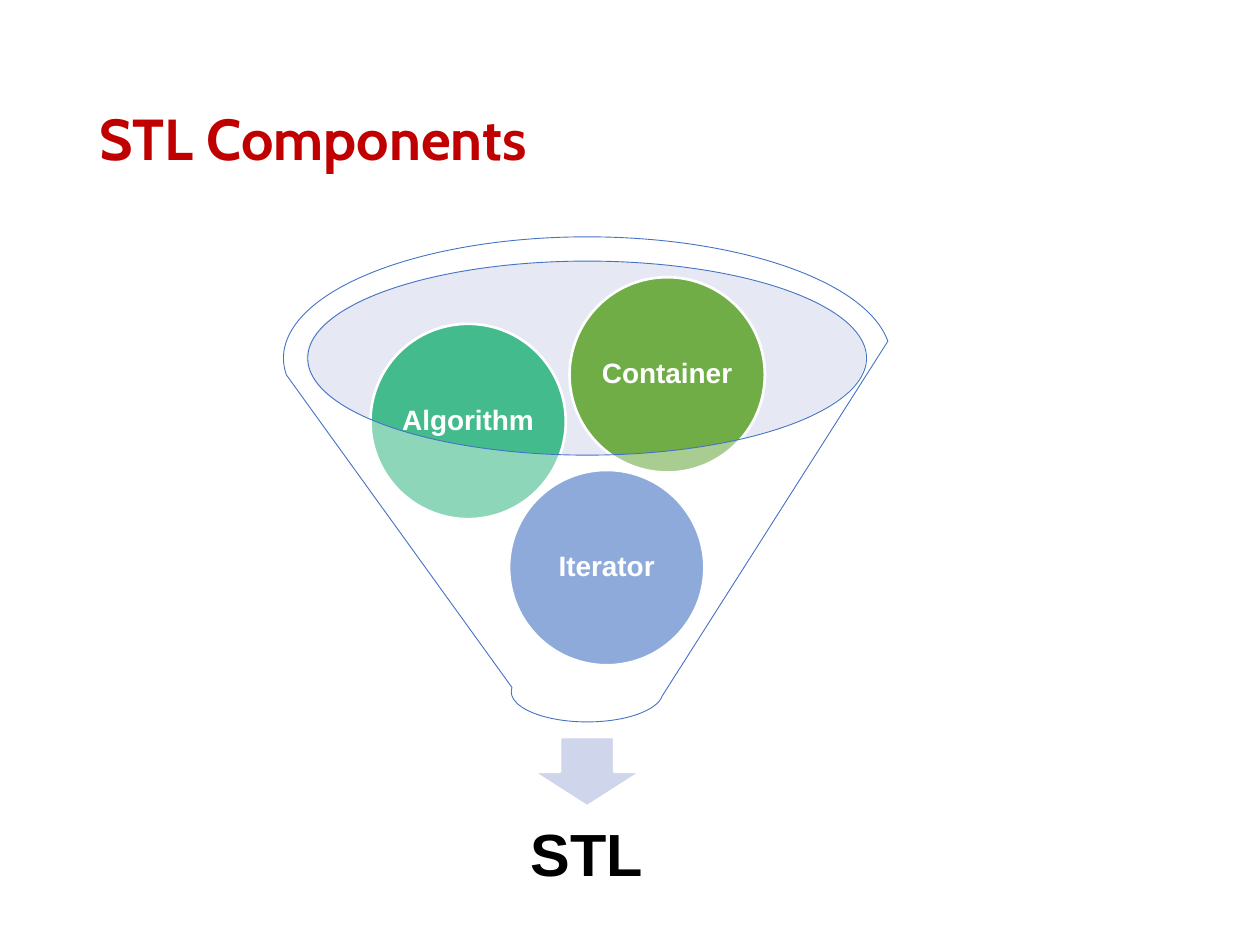
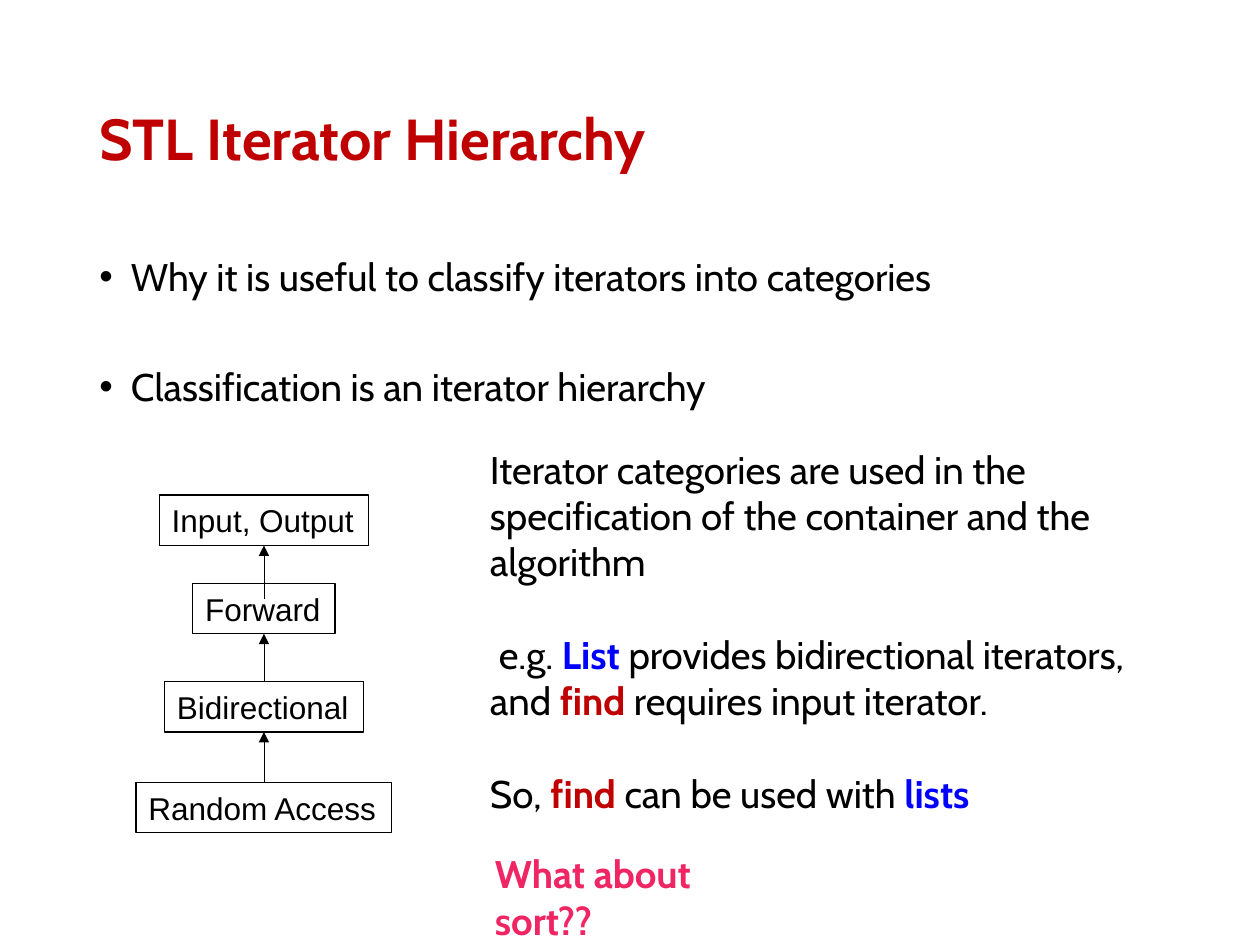
from lxml.etree import SubElement
from pptx import Presentation
from pptx.dml.color import RGBColor
from pptx.enum.shapes import MSO_CONNECTOR, MSO_SHAPE
from pptx.enum.text import MSO_ANCHOR, PP_ALIGN
from pptx.oxml.ns import qn
from pptx.util import Inches, Pt

COLORS = {
    "title": "C00000", "text": "000000", "white": "FFFFFF",
    "iterator": "4472C4", "algorithm": "43BB8D", "container": "70AD47",
    "mouth": "C1C9E4", "arrow": "CFD5EA",
    "type": "0000FF", "function": "C00000", "question": "EF2564",
}
HEADING_FONT = "Cabin"
DIAGRAM_FONT = "Arial"
TITLE_BOX = (0.69, 0.4, 8.62, 1.45)


def rgb(name):
    return RGBColor.from_string(COLORS[name])


def format_font(font, size, name=HEADING_FONT, color="text", bold=False):
    font.size = Pt(size)
    font.name = name
    font.bold = bold
    font.color.rgb = rgb(color)


def add_text_box(slide, box, anchor=MSO_ANCHOR.TOP):
    text_frame = slide.shapes.add_textbox(*map(Inches, box)).text_frame
    text_frame.word_wrap = True
    text_frame.vertical_anchor = anchor
    return text_frame


def add_preset(slide, kind, box, fill=None, line=None, width=0.75, alpha=None):
    shape = slide.shapes.add_shape(kind, *map(Inches, box))
    shape.shadow.inherit = False
    if fill:
        shape.fill.solid()
        shape.fill.fore_color.rgb = rgb(fill)
        if alpha:
            color = shape.fill._xPr.find(f".//{qn('a:srgbClr')}")
            SubElement(color, qn("a:alpha"), val=str(alpha * 1000))
    else:
        shape.fill.background()
    if line:
        shape.line.color.rgb = rgb(line)
        shape.line.width = Pt(width)
    else:
        shape.line.fill.background()
    return shape


def add_title(slide, title):
    text_frame = add_text_box(slide, TITLE_BOX, MSO_ANCHOR.MIDDLE)
    text_frame.text = title
    paragraph = text_frame.paragraphs[0]
    paragraph.line_spacing = 0.9
    format_font(paragraph.runs[0].font, 33, color="title", bold=True)


def set_centered_label(text_frame, label, size, color):
    text_frame.margin_left = text_frame.margin_right = Inches(0.02)
    text_frame.margin_top = text_frame.margin_bottom = Inches(0.02)
    text_frame.word_wrap = True
    text_frame.vertical_anchor = MSO_ANCHOR.MIDDLE
    text_frame.text = label
    paragraph = text_frame.paragraphs[0]
    paragraph.alignment = PP_ALIGN.CENTER
    paragraph.line_spacing = 0.9
    format_font(paragraph.runs[0].font, size, DIAGRAM_FONT, color, True)


def add_funnel(slide, box):
    left, top, width, height = box
    add_preset(slide, MSO_SHAPE.OVAL, (left + 0.18, top + 0.19, 4.44, 1.54),
               "mouth", alpha=40)
    add_preset(slide, MSO_SHAPE.DOWN_ARROW, (left + 1.98, top + 3.97, 0.86, 0.55),
               "arrow", "white", 1.5)
    result = add_text_box(slide, (left + 0.34, top + 4.41, 4.13, 1.03))
    set_centered_label(result, "STL", 34, "text")
    diameter = 1.55
    for label, x, y in (("Iterator", 1.79, 1.85), ("Algorithm", 0.69, 0.69),
                        ("Container", 2.27, 0.32)):
        circle = add_preset(slide, MSO_SHAPE.OVAL,
                            (left + x, top + y, diameter, diameter),
                            label.lower(), "white", 1.5)
        set_centered_label(circle.text_frame, label, 16, "white")
    add_preset(slide, MSO_SHAPE.FUNNEL, box, "white", "iterator", 0.5, alpha=40)


def add_bullets(slide, box, items):
    text_frame = add_text_box(slide, box)
    for index, item in enumerate(items):
        paragraph = text_frame.paragraphs[0] if index == 0 else text_frame.add_paragraph()
        paragraph.text = item
        paragraph.line_spacing = 0.9
        if index:
            paragraph.space_before = Pt(39)
        properties = paragraph._p.get_or_add_pPr()
        properties.set("marL", str(Inches(0.25)))
        properties.set("indent", str(-Inches(0.25)))
        SubElement(properties, qn("a:buFont"), typeface=DIAGRAM_FONT)
        SubElement(properties, qn("a:buChar"), char="•")
        format_font(paragraph.runs[0].font, 22)


def add_up_arrow(slide, x, start, end):
    connector = slide.shapes.add_connector(
        MSO_CONNECTOR.STRAIGHT, Inches(x), Inches(start), Inches(x), Inches(end))
    connector.line.color.rgb = rgb("text")
    connector.line.width = Pt(0.5)
    SubElement(connector.line._get_or_add_ln(), qn("a:tailEnd"), type="triangle")
    SubElement(connector._element.spPr, qn("a:effectLst"))


def add_hierarchy(slide, box):
    left, top, width, height = box
    center = left + width / 2
    box_height = 0.4
    levels = (("Input, Output", 0, 1.66, 0), ("Forward", 0.7, 1.13, 0.12),
              ("Bidirectional", 1.48, 1.58, 0), ("Random Access", 2.28, 2.03, 0))
    previous_bottom = None
    for label, offset, level_width, overlap in levels:
        level_top = top + offset
        level = add_preset(
            slide, MSO_SHAPE.RECTANGLE,
            (center - level_width / 2, level_top, level_width, box_height), line="text")
        text_frame = level.text_frame
        text_frame.word_wrap = False
        text_frame.vertical_anchor = MSO_ANCHOR.MIDDLE
        text_frame.text = label
        paragraph = text_frame.paragraphs[0]
        paragraph.alignment = PP_ALIGN.LEFT
        format_font(paragraph.runs[0].font, 18, DIAGRAM_FONT)
        if previous_bottom:
            add_up_arrow(slide, center, level_top + overlap, previous_bottom)
        previous_bottom = level_top + box_height


def add_explanation(slide, box, paragraphs):
    text_frame = add_text_box(slide, box)
    for index, (indent, parts) in enumerate(paragraphs):
        paragraph = text_frame.paragraphs[0] if index == 0 else text_frame.add_paragraph()
        if index:
            paragraph.space_before = Pt(26.5)
        if indent:
            paragraph._p.get_or_add_pPr().set("indent", str(Inches(indent)))
        for text, color in parts:
            run = paragraph.add_run()
            run.text = text
            format_font(run.font, 22, color=color, bold=color != "text")


def build_components_slide(slide):
    add_title(slide, "STL Components")
    add_funnel(slide, (2.25, 1.88, 4.82, 3.85))


def build_hierarchy_slide(slide):
    add_title(slide, "STL Iterator Hierarchy")
    add_bullets(slide, (0.69, 2, 8.62, 1.45), (
        "Why it is useful to classify iterators into categories",
        "Classification is an iterator hierarchy",
    ))
    add_hierarchy(slide, (1.08, 3.93, 2.03, 2.68))
    add_explanation(slide, (3.79, 3.49, 5.41, 3.06), (
        (0, (("Iterator categories are used in the specification of the "
              "container and the algorithm", "text"),)),
        (0.07, (("e.g. ", "text"), ("List ", "type"),
                ("provides bidirectional iterators, and ", "text"),
                ("find ", "function"), ("requires input iterator.", "text"))),
        (0, (("So, ", "text"), ("find ", "function"),
             ("can be used with ", "text"), ("lists", "type"))),
    ))
    add_explanation(slide, (3.83, 6.7, 2.4, 0.8),
                    ((0, (("What about sort??", "question"),)),))


def main():
    presentation = Presentation()
    presentation.slide_width = Inches(10)
    presentation.slide_height = Inches(7.5)
    blank_layout = presentation.slide_layouts[6]
    for build in (build_components_slide, build_hierarchy_slide):
        build(presentation.slides.add_slide(blank_layout))
    presentation.save("out.pptx")


if __name__ == "__main__":
    main()
